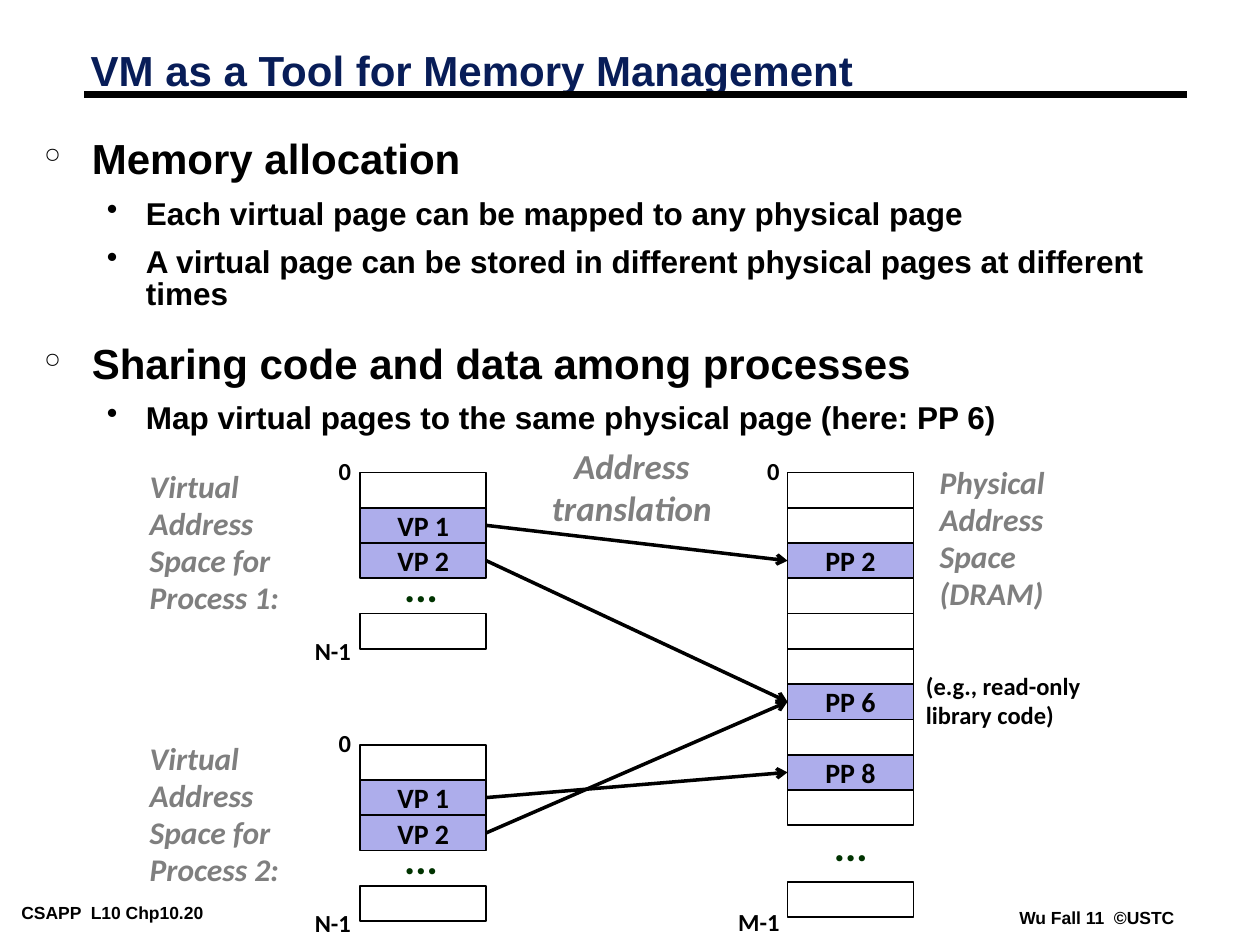
"""Build the slide on virtual memory as a tool for memory management."""
from lxml import etree
from pptx import Presentation
from pptx.dml.color import RGBColor
from pptx.enum.shapes import MSO_CONNECTOR, MSO_SHAPE
from pptx.enum.text import MSO_ANCHOR, MSO_AUTO_SIZE, PP_ALIGN
from pptx.oxml.ns import qn
from pptx.util import Inches, Pt

LEFT, CENTER = PP_ALIGN.LEFT, PP_ALIGN.CENTER
MIDDLE, TOP = MSO_ANCHOR.MIDDLE, MSO_ANCHOR.TOP
NO_FIT = MSO_AUTO_SIZE.NONE
RECT, STRAIGHT = MSO_SHAPE.RECTANGLE, MSO_CONNECTOR.STRAIGHT
TITLE_ONLY = 5

COLORS = {"ink": "000000", "title": "081D58", "label": "7F7F7F",
          "page": "ADADEB", "dots": "003300"}
PAGE_W, PAGE_H = 1, 0.28
VP_X, PP_X = 2.86, 6.25
PP_TOP = 3.75


def rgb(name):
    return RGBColor.from_string(COLORS[name])


class Deck:
    """Holds the style and the current slide, and draws each kind of element."""

    def __init__(self, prs):
        self.s = prs.slides.add_slide(prs.slide_layouts[TITLE_ONLY])

    def frame(self, tf, anchor=TOP, wrap=True, margins=(0.1, 0.05)):
        tf.auto_size, tf.word_wrap, tf.vertical_anchor = NO_FIT, wrap, anchor
        tf.margin_left = tf.margin_right = Inches(margins[0])
        tf.margin_top = tf.margin_bottom = Inches(margins[1])

    def run(self, p, text, size, font="Calibri", color="ink", italic=False):
        r = p.add_run()
        r.text = text
        r.font.name, r.font.size = font, Pt(size)
        r.font.bold, r.font.italic = True, italic
        r.font.color.rgb = rgb(color)

    def title(self, text, x, y, w, h):
        sp = self.s.shapes.title
        sp.left, sp.top, sp.width, sp.height = map(Inches, (x, y, w, h))
        self.frame(sp.text_frame, MIDDLE)
        p = sp.text_frame.paragraphs[0]
        p.alignment, p.line_spacing = LEFT, 0.87
        self.run(p, text, 24, "Arial", "title")

    def text(self, lines, x, y, w, h, size=14, spacing=0.98, align=LEFT,
             wrap=False, margins=(0.1, 0.05), **style):
        sp = self.s.shapes.add_textbox(*map(Inches, (x, y, w, h)))
        tf = sp.text_frame
        self.frame(tf, wrap=wrap, margins=margins)
        for i, line in enumerate(lines):
            p = tf.add_paragraph() if i else tf.paragraphs[0]
            p.alignment, p.line_spacing = align, spacing
            self.run(p, line, size, **style)

    def bullets(self, items, x, y, w, h):
        levels = (("°", 0.38, 0.38, 24, 19.5), ("•", 0.81, 0.31, 18, 9))
        tf = self.s.shapes.add_textbox(*map(Inches, (x, y, w, h))).text_frame
        self.frame(tf)
        for i, (level, spacing, text) in enumerate(items):
            char, indent, hanging, size, before = levels[level]
            p = tf.add_paragraph() if i else tf.paragraphs[0]
            p.level, p.line_spacing = level, spacing
            if i:
                p.space_before = Pt(before)
            pPr = p._p.get_or_add_pPr()
            pPr.set("marL", str(Inches(indent)))
            pPr.set("indent", str(-Inches(hanging)))
            etree.SubElement(pPr, qn("a:buChar")).set("char", char)
            self.run(p, text, size, "Arial")

    def page(self, text, x, y):
        sp = self.s.shapes.add_shape(RECT, *map(Inches, (x, y, PAGE_W, PAGE_H)))
        sp.shadow.inherit = False
        sp.line.color.rgb, sp.line.width = rgb("ink"), Pt(1)
        if not text:
            sp.fill.background()
            return
        sp.fill.solid()
        sp.fill.fore_color.rgb = rgb("page")
        self.frame(sp.text_frame, MIDDLE)
        p = sp.text_frame.paragraphs[0]
        p.alignment = CENTER
        self.run(p, text, 16)

    def pages(self, names, x, y):
        for i, name in enumerate(names):
            self.page(name, x, y + i * PAGE_H)

    def dots(self, x, y):
        self.text(["..."], x, y, 0.47, 0.45, 24, 0.88, color="dots")

    def line(self, x1, y1, x2, y2, width, arrow=False):
        c = self.s.shapes.add_connector(STRAIGHT, *map(Inches, (x1, y1, x2, y2)))
        c.line.color.rgb, c.line.width = rgb("ink"), Pt(width)
        if arrow:
            ln = c.line._get_or_add_ln()
            etree.SubElement(ln, qn("a:tailEnd")).set("type", "arrow")
        etree.SubElement(c._element.spPr, qn("a:effectLst"))


def main():
    prs = Presentation()
    prs.slide_width, prs.slide_height = Inches(10), Inches(7.5)
    d = Deck(prs)
    label = {"size": 18, "wrap": True, "color": "label", "italic": True}
    footer = {"size": 10, "spacing": 1.0, "font": "Arial", "margins": (0.07, 0.03)}

    d.text(["CSAPP  L10 Chp10.20"], 0.1, 7.13, 2.1, 0.22, **footer)
    d.text(["Wu Fall 11  ©USTC"], 8.02, 7.17, 1.38, 0.22, **footer)
    d.line(0.67, 0.75, 9.42, 0.75, 4.5)
    d.title("VM as a Tool for Memory Management", 0.62, 0.36, 9.42, 0.45)
    d.bullets([
        (0, 0.83, "Memory allocation"),
        (1, 0.88, "Each virtual page can be mapped to any physical page"),
        (1, 0.85, "A virtual page can be stored in different physical pages "
                  "at different times"),
        (0, 0.83, "Sharing code and data among processes"),
        (1, 0.85, "Map virtual pages to the same physical page (here: PP 6)"),
    ], 0.25, 1.07, 9.58, 2.44)

    for process, top in ((1, 3.75), (2, 5.91)):
        d.text([f"Virtual Address Space for Process {process}:"],
               1.09, top - 0.08, 1.5, 1.27, **label)
        d.pages(["", "VP 1", "VP 2"], VP_X, top)
        d.dots(3.11, top + 0.7)
        d.page("", VP_X, top + 4 * PAGE_H)
        d.text(["0"], 2.59, top - 0.17, 0.3, 0.33)
        d.text(["N-1"], 2.4, top + 1.26, 0.49, 0.33)

    d.pages(["", "", "PP 2", "", "", "", "PP 6", "", "PP 8", ""], PP_X, PP_TOP)
    d.dots(6.52, 6.51)
    d.page("", PP_X, 7)
    d.text(["0"], 5.99, 3.58, 0.3, 0.33)
    d.text(["M-1"], 5.76, 7.16, 0.53, 0.33)
    d.text(["Physical", "Address", "Space (DRAM)"], 7.36, 3.64, 1.17, 1.27, **label)
    d.text(["(e.g., read-only", "library code)"], 7.25, 5.29, 1.59, 0.55, wrap=True)

    for start, frame in ((4.17, 2), (4.45, 6), (6.61, 6), (6.33, 8)):
        end = PP_TOP + (frame + 0.5) * PAGE_H
        d.line(VP_X + PAGE_W, start, PP_X, end, 2, arrow=True)
    d.text(["Address", "translation"], 4.28, 3.48, 1.47, 0.77, 20, 1.0, CENTER,
           color="label", italic=True)

    prs.save("out.pptx")


if __name__ == "__main__":
    main()
